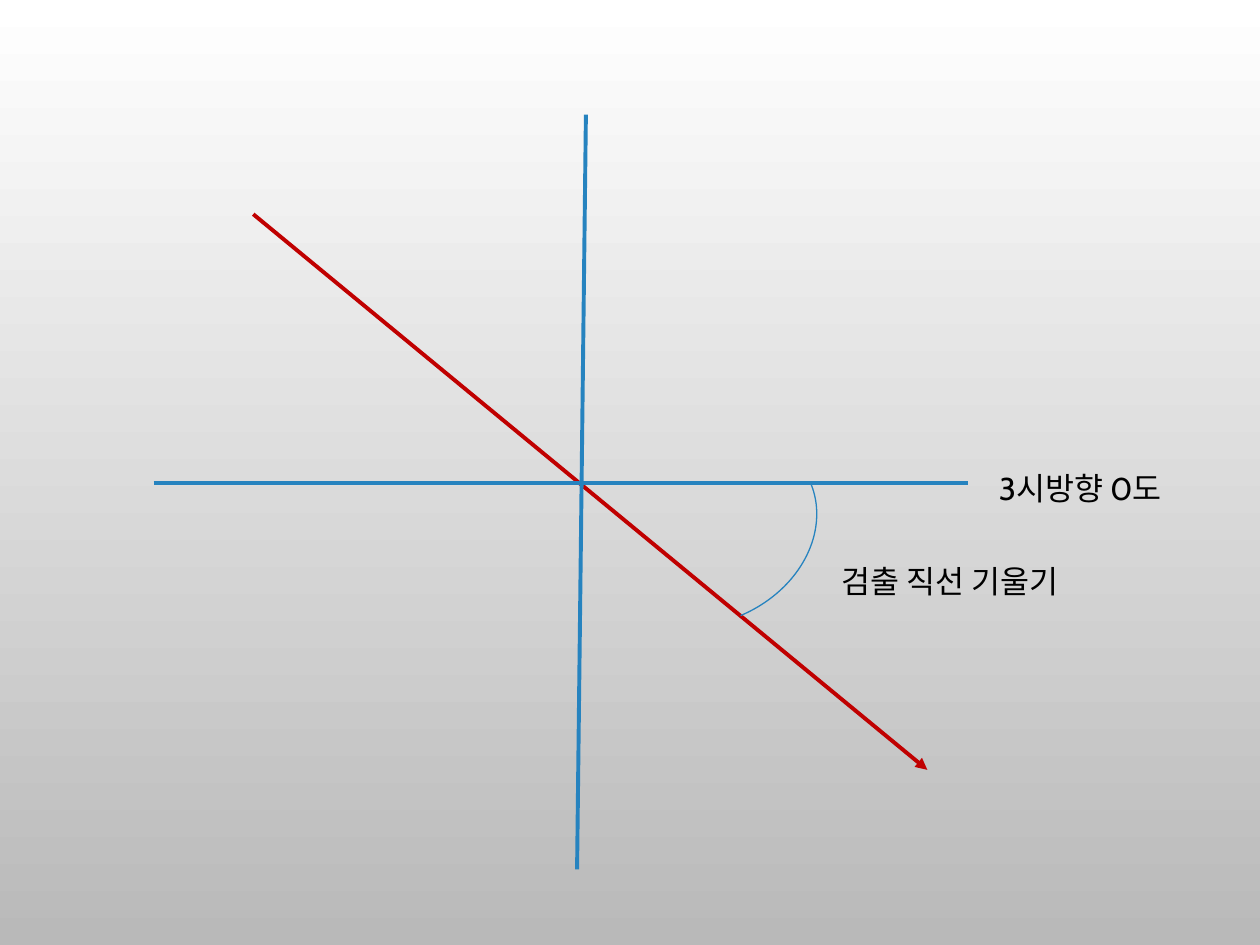
from dataclasses import dataclass

from lxml import etree
from pptx import Presentation
from pptx import util as u
from pptx.dml.color import RGBColor
from pptx.enum import shapes, text
from pptx.oxml.ns import qn


@dataclass(frozen=True)
class Theme:
    font: str = "Cabin"
    size: float = 18
    ink: str = "000000"
    axis: str = "2683BF"
    slope: str = "C00000"
    top: str = "FFFFFF"
    base: str = "B9B9B9"
    thick: float = 2.25
    thin: float = 0.75


def rgb(code):
    return RGBColor.from_string(code)


def write(frame, words, font, size, color):
    run = frame.paragraphs[0].add_run()
    run.text = words
    run.font.name = font
    run.font.size = u.Pt(size)
    run.font.color.rgb = rgb(color)


class Board:
    def __init__(self, slide, theme):
        self.slide = slide
        self.theme = theme

    def back(self):
        fill = self.slide.background.fill
        fill.gradient()
        fill.gradient_angle = 270
        for stop, code in zip(fill.gradient_stops, (self.theme.top, self.theme.base)):
            stop.color.rgb = rgb(code)

    def line(self, start, end, color, head=False):
        ends = [u.Inches(v) for v in (*start, *end)]
        item = self.slide.shapes.add_connector(shapes.MSO_CONNECTOR.STRAIGHT, *ends)
        item.line.color.rgb = rgb(color)
        item.line.width = u.Pt(self.theme.thick)
        props = item._element.spPr
        if head:
            etree.SubElement(props.find(qn("a:ln")), qn("a:headEnd"), type="triangle")
        etree.SubElement(props, qn("a:effectLst"))

    def arc(self, box, turn):
        item = self.slide.shapes.add_shape(
            shapes.MSO_SHAPE.ARC, *[u.Inches(v) for v in box])
        item.rotation = turn
        item.shadow.inherit = False
        item.fill.background()
        item.line.color.rgb = rgb(self.theme.axis)
        item.line.width = u.Pt(self.theme.thin)

    def label(self, box, words):
        item = self.slide.shapes.add_textbox(*[u.Inches(v) for v in box])
        frame = item.text_frame
        frame.word_wrap = True
        frame.auto_size = text.MSO_AUTO_SIZE.SHAPE_TO_FIT_TEXT
        look = self.theme
        write(frame, words, font=look.font, size=look.size, color=look.ink)


def main():
    deck = Presentation()
    deck.slide_width = u.Inches(10)
    deck.slide_height = u.Inches(7.5)
    theme = Theme()
    board = Board(deck.slides.add_slide(deck.slide_layouts[6]), theme)

    board.back()
    board.line((7.36, 6.11), (2.01, 1.7), theme.slope, head=True)
    board.line((1.22, 3.83), (7.68, 3.83), theme.axis)
    board.label((7.83, 3.67, 1.56, 0.4), "3시방향 0도")
    board.arc((4.83, 3.27, 1.51, 1.84), 67.2)
    board.label((6.58, 4.41, 2.11, 0.4), "검출 직선 기울기")
    board.line((4.58, 6.9), (4.65, 0.91), theme.axis)

    deck.save("out.pptx")


if __name__ == "__main__":
    main()
